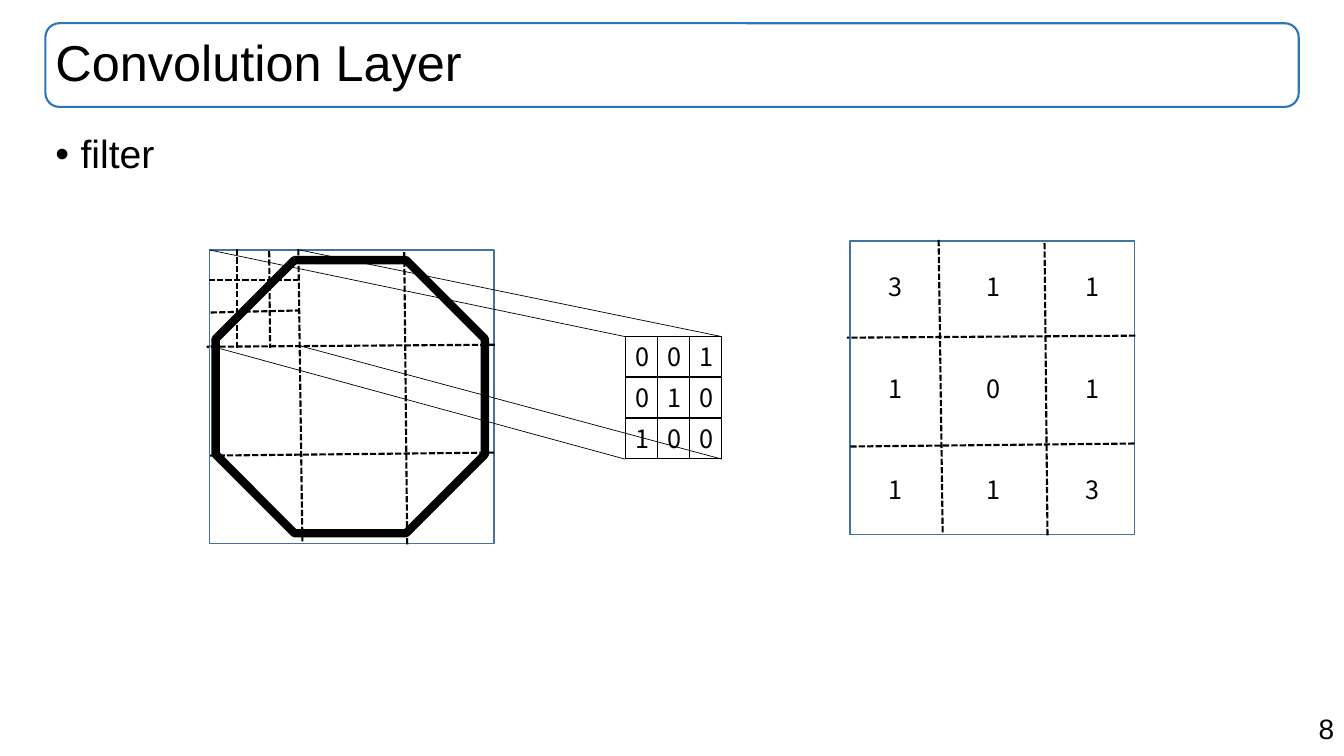
from itertools import product

from pptx import Presentation
from pptx.dml.color import RGBColor
from pptx.enum.dml import MSO_LINE
from pptx.enum.shapes import MSO_CONNECTOR, MSO_SHAPE
from pptx.enum.text import MSO_ANCHOR, PP_ALIGN
from pptx.oxml.ns import qn
from pptx.util import Inches, Pt
from lxml.etree import SubElement

BLACK = RGBColor(0x00, 0x00, 0x00)
FRAME_BLUE = RGBColor(0x2E, 0x75, 0xB6)
PANEL_BLUE = RGBColor(0x43, 0x73, 0x9E)
TEXT_FONT, DIGIT_FONT = "Arial", "Noto Sans CJK KR"

# All positions are percentages of the slide's width and height
WIDTH, HEIGHT = Inches(13.33), Inches(7.5)
TITLE_AREA = (3.38, 3.07, 93.25, 11.07)
BODY_AREA = (3.38, 17.2, 93.25, 73.73)
NUMBER_AREA = (70.74, 93.47, 29.26, 5.87)

PANEL_SIZE = (21.16, 38.8)
IMAGE_ORIGIN = (15.6, 33.07)
RESULT_ORIGIN = (63.24, 31.87)
OCTAGON_AREA = (16.05, 34.4, 20.03, 36.13)
WINDOW_SIZE = (6.7, 12.67)

# Hand-drawn grid lines, measured from a panel's top left corner
THIRDS = [(6.6, -0.13, 6.9, 38.67), (14.48, 0.27, 14.7, 39.2),
          (21.23, 12.53, -0.23, 12.8), (21.16, 26.8, -0.08, 27.2)]
NINTHS = [(2.03, -0.13, 2.03, 13.07), (4.43, 0.13, 4.5, 12.93),
          (-0.08, 4, 6.6, 4), (0.08, 8.27, 6.68, 8)]

FILTER_ORIGIN, FILTER_STEP = (46.51, 44.53), (2.4, 5.4)
FILTER = ["001", "010", "100"]
VALUE_ORIGIN, VALUE_STEP = (65.34, 35.2), (7.35, 13.47)
RESULT = ["311", "101", "113"]


def across(share):
    return round(WIDTH * share / 100)


def down(share):
    return round(HEIGHT * share / 100)


def place(area):
    left, top, width, height = area
    return across(left), down(top), across(width), down(height)


def write(shape, text, size, font=TEXT_FONT, align=PP_ALIGN.LEFT,
          anchor=MSO_ANCHOR.TOP, wrap=True):
    frame = shape.text_frame
    frame.word_wrap = wrap
    frame.vertical_anchor = anchor
    frame.text = text
    para = frame.paragraphs[0]
    para.alignment = align
    for span in para.runs:
        span.font.size = Pt(size)
        span.font.name = font
        span.font.color.rgb = BLACK
        east_asian = SubElement(span.font._element, qn("a:ea"))
        east_asian.set("typeface", font)
    return para


def add_outline(page, kind, area, color, weight):
    shape = page.shapes.add_shape(kind, *place(area))
    shape.shadow.inherit = False
    shape.fill.background()
    shape.line.color.rgb = color
    shape.line.width = Pt(weight)
    return shape


def add_line(page, start, end, weight, dash=None):
    line = page.shapes.add_connector(
        MSO_CONNECTOR.STRAIGHT, across(start[0]), down(start[1]),
        across(end[0]), down(end[1]))
    line.line.color.rgb = BLACK
    line.line.width = Pt(weight)
    if dash:
        line.line.dash_style = dash
    SubElement(line._element.spPr, qn("a:effectLst"))


def add_grid(page, origin, lines):
    left, top = origin
    for x1, y1, x2, y2 in lines:
        add_line(page, (left + x1, top + y1), (left + x2, top + y2),
                 1.5, MSO_LINE.SQUARE_DOT)


def add_digits(page, rows, origin, step, width, boxed=False):
    for row, column in product(range(len(rows)), range(len(rows[0]))):
        area = (origin[0] + column * step[0], origin[1] + row * step[1],
                width, 5.33)
        if boxed:
            cell = add_outline(page, MSO_SHAPE.RECTANGLE, area, BLACK, 0)
        else:
            cell = page.shapes.add_textbox(*place(area))
        write(cell, rows[row][column], 18, DIGIT_FONT, wrap=False)


def add_heading(page):
    add_outline(page, MSO_SHAPE.ROUNDED_RECTANGLE, TITLE_AREA, FRAME_BLUE, 1.5)
    title = page.shapes.title
    title.left, title.top, title.width, title.height = place(TITLE_AREA)
    para = write(title, "Convolution Layer", 36, anchor=MSO_ANCHOR.MIDDLE)
    para.line_spacing = 0.9


def add_bullet(page):
    box = page.shapes.add_textbox(*place(BODY_AREA))
    para = write(box, "filter", 28)
    para.line_spacing = 0.9
    properties = para._p.get_or_add_pPr()
    properties.set("marL", str(Inches(0.25)))
    properties.set("indent", str(-Inches(0.25)))
    SubElement(properties, qn("a:buFont")).set("typeface", TEXT_FONT)
    SubElement(properties, qn("a:buChar")).set("char", "•")


def add_projection(page):
    # Each corner of the image window goes to the same corner of the filter
    for x, y in product((0, 1), repeat=2):
        start = (IMAGE_ORIGIN[0] + x * WINDOW_SIZE[0],
                 IMAGE_ORIGIN[1] + y * WINDOW_SIZE[1])
        end = (FILTER_ORIGIN[0] + x * 3 * FILTER_STEP[0],
               FILTER_ORIGIN[1] + y * 3 * FILTER_STEP[1])
        add_line(page, start, end, 0.5)


def main():
    deck = Presentation()
    deck.slide_width, deck.slide_height = WIDTH, HEIGHT
    page = deck.slides.add_slide(deck.slide_layouts[5])

    # Page number, title and bullet
    number = page.shapes.add_textbox(*place(NUMBER_AREA))
    write(number, "8", 20, align=PP_ALIGN.RIGHT)
    add_heading(page)
    add_bullet(page)

    # Filter
    add_digits(page, FILTER, FILTER_ORIGIN, FILTER_STEP, FILTER_STEP[0],
               boxed=True)

    # Input image with the window under the filter
    add_outline(page, MSO_SHAPE.RECTANGLE, IMAGE_ORIGIN + PANEL_SIZE,
                PANEL_BLUE, 1)
    add_outline(page, MSO_SHAPE.OCTAGON, OCTAGON_AREA, BLACK, 6)
    add_grid(page, IMAGE_ORIGIN, THIRDS)
    add_projection(page)
    add_grid(page, IMAGE_ORIGIN, NINTHS)

    # Result of the convolution
    add_outline(page, MSO_SHAPE.RECTANGLE, RESULT_ORIGIN + PANEL_SIZE,
                PANEL_BLUE, 1)
    add_grid(page, RESULT_ORIGIN, THIRDS)
    add_digits(page, RESULT, VALUE_ORIGIN, VALUE_STEP, 2.25)

    deck.save("out.pptx")


if __name__ == "__main__":
    main()
